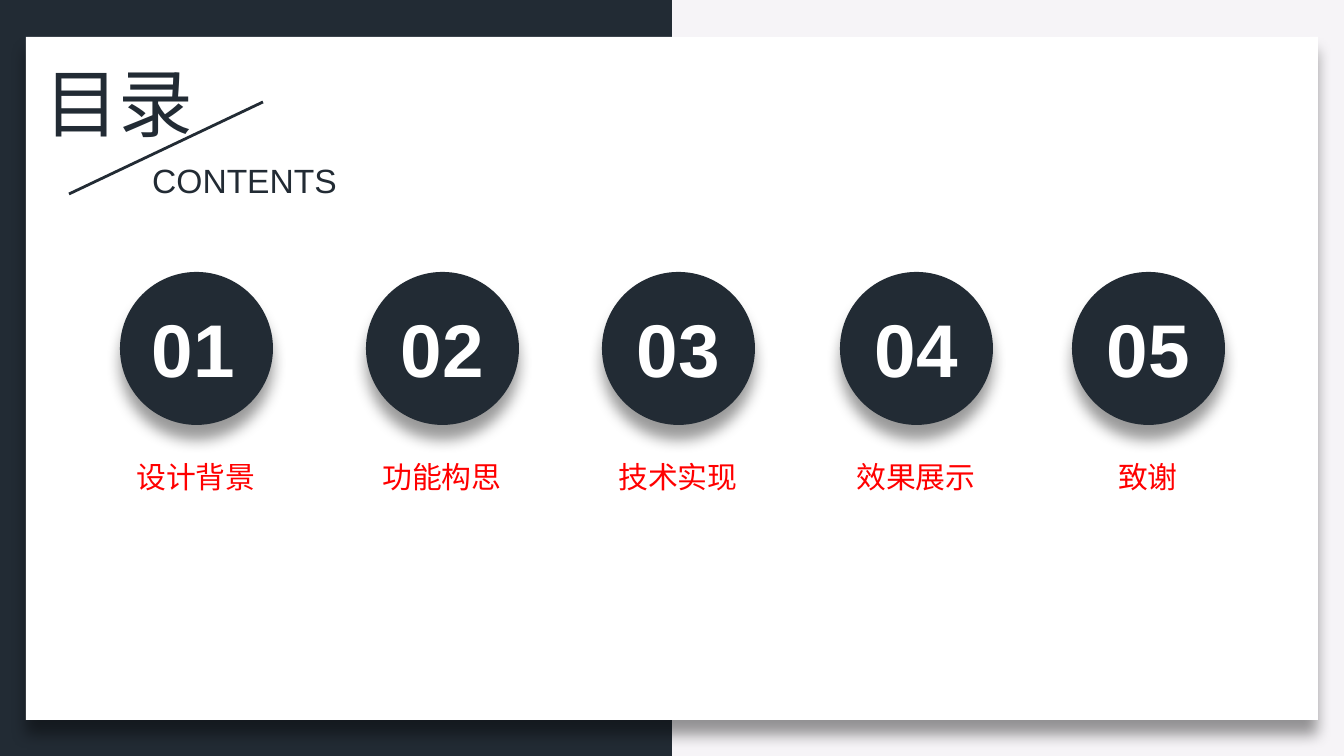
import pptx
import pptx.util
import pptx.dml.color
import pptx.enum.shapes
import pptx.enum.text
import pptx.oxml
import pptx.oxml.ns

PX = 12192000 / 1792
COLORS = {
    "navy": "222B34",
    "backdrop": "F6F4F7",
    "white": "FFFFFF",
    "red": "FF0000",
    "shadow": "000000",
}
CJK = "Noto Sans CJK SC"
SHAPES = pptx.enum.shapes.MSO_SHAPE
ALIGN = pptx.enum.text.PP_ALIGN


def emu(*lengths):
    return [round(length * PX) for length in lengths]


def color(name):
    return pptx.dml.color.RGBColor.from_string(COLORS[name])


def add_shadow(shape):
    size = pptx.util.Pt(8)
    namespace = pptx.oxml.ns.nsdecls("a")
    effects = pptx.oxml.parse_xml(
        f'<a:effectLst {namespace}><a:outerShdw blurRad="{size}" dist="{size}" '
        f'dir="5400000" algn="t" rotWithShape="0"><a:srgbClr val="{COLORS["shadow"]}">'
        '<a:alpha val="40000"/></a:srgbClr></a:outerShdw></a:effectLst>'
    )
    properties = shape.element.spPr
    properties.remove(properties.find(pptx.oxml.ns.qn("a:effectLst")))
    properties.append(effects)


def add_block(page, kind, box, fill, shadow=False):
    shape = page.shapes.add_shape(kind, *emu(*box))
    shape.shadow.inherit = False
    shape.fill.solid()
    shape.fill.fore_color.rgb = color(fill)
    shape.line.fill.background()
    if shadow:
        add_shadow(shape)


def add_text(page, text, box, size, fill, font="Arial", asian=None, bold=None, align=None):
    shape = page.shapes.add_textbox(*emu(*box))
    frame = shape.text_frame
    frame.word_wrap = False
    frame.auto_size = pptx.enum.text.MSO_AUTO_SIZE.SHAPE_TO_FIT_TEXT
    para = frame.paragraphs[0]
    para.alignment = align
    span = para.add_run()
    span.text = text
    span.font.size = pptx.util.Pt(size)
    span.font.name = font
    span.font.bold = bold
    span.font.color.rgb = color(fill)
    if asian:
        properties = span.font._element
        face = properties.makeelement(pptx.oxml.ns.qn("a:ea"), {"typeface": asian})
        properties.append(face)


def add_backdrop(page, box):
    left, top, width, height = box
    page.background.fill.solid()
    page.background.fill.fore_color.rgb = color("backdrop")
    add_block(page, SHAPES.RECTANGLE, (left, top, width // 2, height), "navy")
    panel = (left + 26, top + 37, width - 52, height - 73)
    add_block(page, SHAPES.RECTANGLE, panel, "white", shadow=True)


def add_heading(page, box):
    left, top, width, height = box
    add_text(page, "目录", (left, top, 178, 104), 40, "navy", font="Calibri")
    slash = page.shapes.add_connector(
        pptx.enum.shapes.MSO_CONNECTOR.STRAIGHT,
        *emu(left + 232, top + 52, left + 38, top + 144),
    )
    slash.line.color.rgb = color("navy")
    slash.line.width = pptx.util.Pt(1.5)
    slash.element.spPr.append(
        slash.element.spPr.makeelement(pptx.oxml.ns.qn("a:effectLst"), {})
    )
    add_text(page, "CONTENTS", (left + width - 214, top + height - 54, 214, 54), 18, "navy")


def add_chapter(page, box, number, title, title_width, number_shift):
    left, top, width, height = box
    middle = left + width // 2
    add_block(page, SHAPES.OVAL, (left, top, width, width), "navy", shadow=True)
    add_text(page, title, (middle - title_width // 2, top + height - 50, title_width, 50),
             16, "red", font=CJK, asian=CJK, align=ALIGN.CENTER)
    add_text(page, f"{number:02d}", (middle + number_shift - 56, top + 24, 112, 104),
             40, "white", bold=True, align=ALIGN.CENTER)


def main():
    deck = pptx.Presentation()
    deck.slide_width, deck.slide_height = emu(1344, 756)
    page = deck.slides.add_slide(deck.slide_layouts[6])
    add_backdrop(page, (0, 0, 1344, 756))
    add_heading(page, (31, 50, 322, 157))
    chapters = [
        (120, "设计背景", 148, -3),
        (366, "功能构思", 148, 0),
        (602, "技术实现", 148, 0),
        (840, "效果展示", 148, 0),
        (1072, "致谢", 88, 0),
    ]
    for number, (left, title, title_width, number_shift) in enumerate(chapters, 1):
        add_chapter(page, (left, 272, 153, 230), number, title, title_width, number_shift)
    deck.save("out.pptx")


if __name__ == "__main__":
    main()
